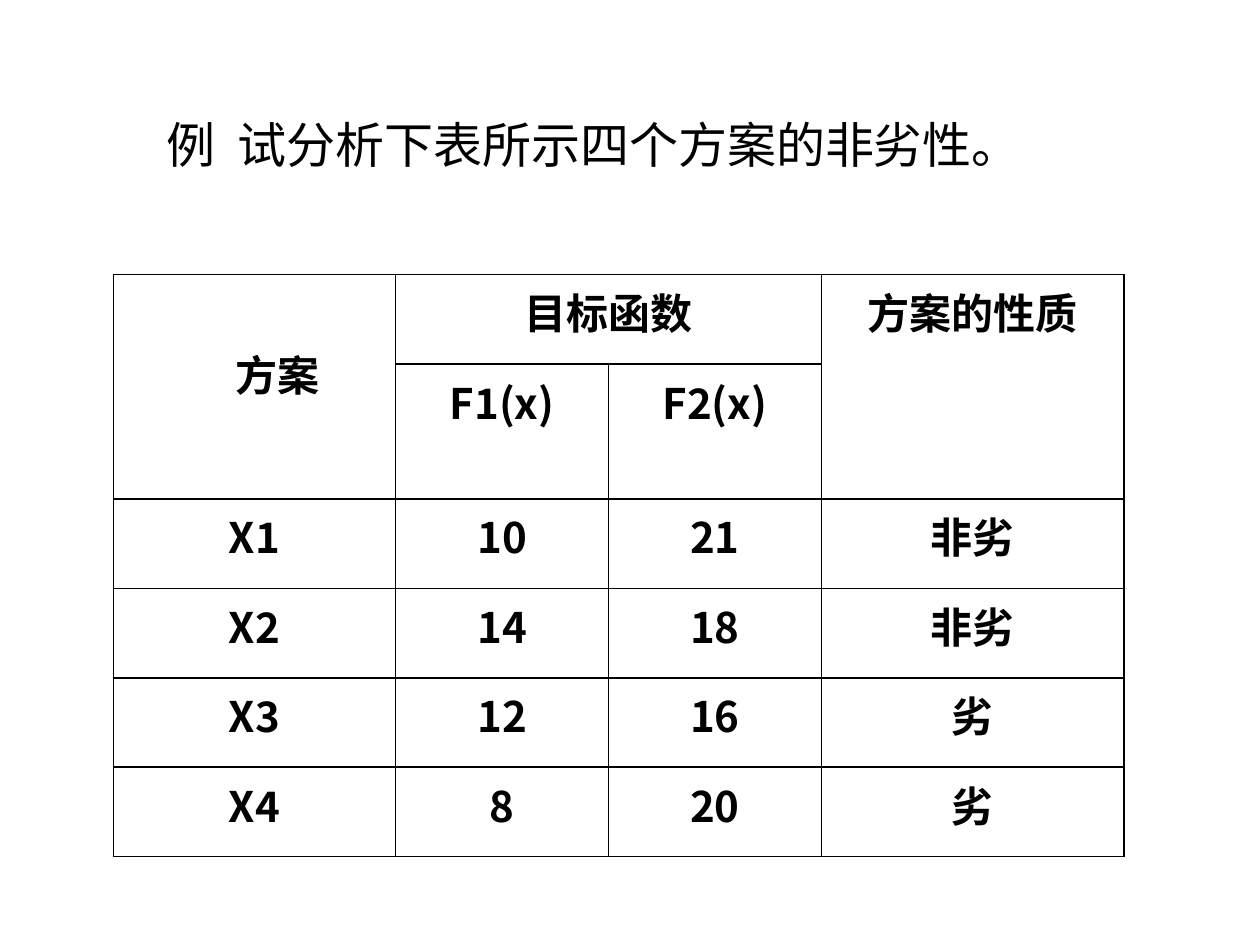
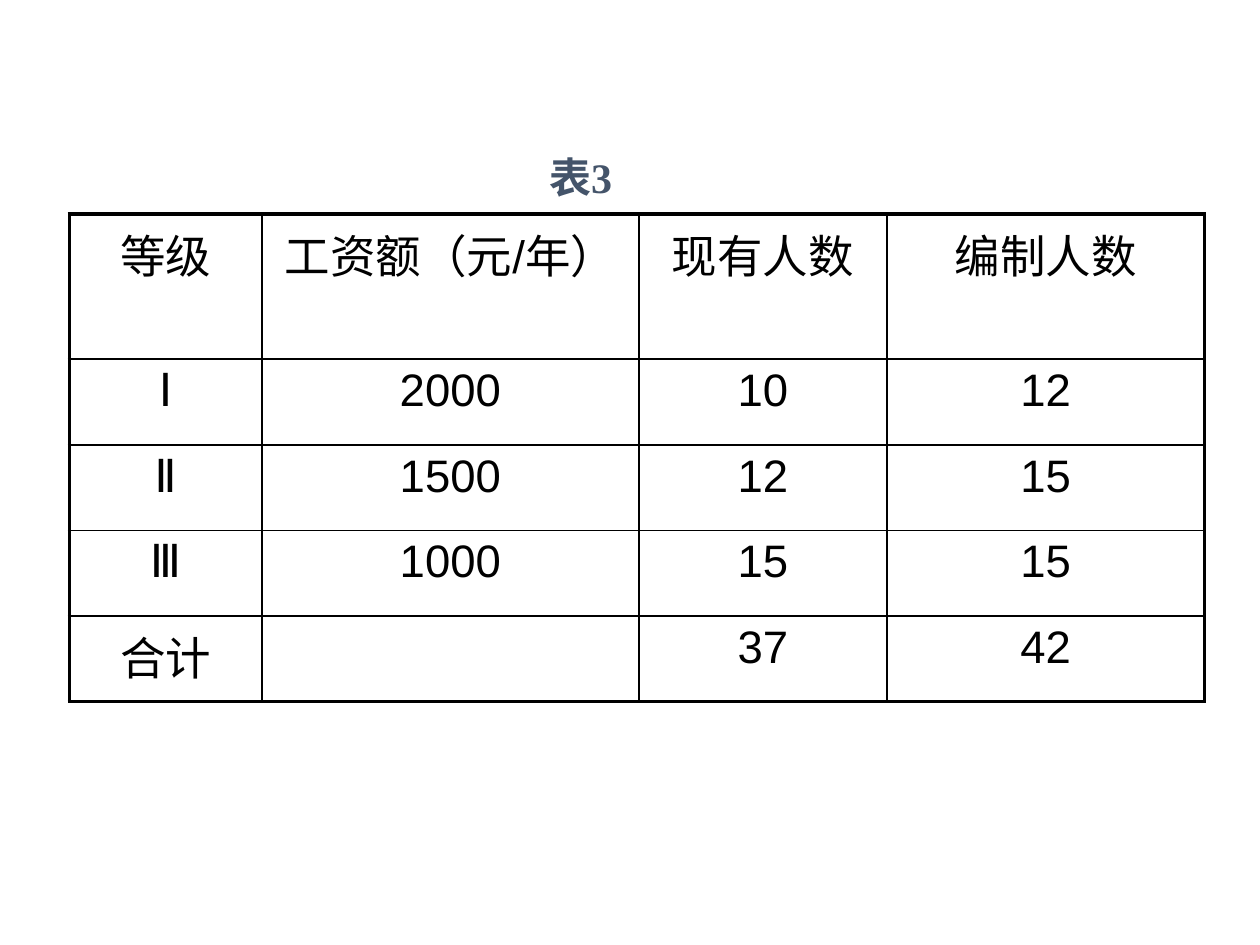
from dataclasses import dataclass

from lxml.etree import SubElement
from pptx import Presentation
from pptx.dml.color import RGBColor
from pptx.enum.text import PP_ALIGN
from pptx.oxml.ns import qn
from pptx.slide import Slide
from pptx.table import _Cell
from pptx.text.text import _Paragraph
from pptx.util import Inches, Pt

BLACK = "000000"
SLATE = "44546A"
CJK_FONT = "Noto Sans CJK SC"
THIN = 1


@dataclass(frozen=True)
class TextStyle:
    """Look of one span of text."""

    size: float
    font: str
    colour: str = BLACK
    bold: bool = False


@dataclass(frozen=True)
class Caption:
    """A line of text above a table."""

    text: str
    left: float
    top: float
    width: float
    height: float
    style: TextStyle
    tab: float = 0
    line_spacing: float = 1.0


@dataclass(frozen=True)
class Grid:
    """A ruled table with optional merged areas."""

    left: float
    top: float
    columns: list[float]
    heights: list[float]
    rows: list[list[str]]
    style: TextStyle
    frame: float = THIN
    merges: tuple[tuple[int, int, int, int], ...] = ()


def rgb(colour: str) -> RGBColor:
    """Turn a hex string into a colour."""
    return RGBColor.from_string(colour)


def add_span(para: _Paragraph, text: str, style: TextStyle) -> None:
    """Add one styled run, with a matching East Asian font."""
    span = para.add_run()
    span.text = text
    span.font.size = Pt(style.size)
    span.font.bold = style.bold
    span.font.color.rgb = rgb(style.colour)
    span.font.name = style.font
    latin = span.font._element.find(qn("a:latin"))
    east_asian = latin.makeelement(qn("a:ea"), {"typeface": CJK_FONT})
    latin.addnext(east_asian)


def add_caption(page: Slide, caption: Caption) -> None:
    """Draw a caption in a text box."""
    box = page.shapes.add_textbox(
        Inches(caption.left), Inches(caption.top), Inches(caption.width), Inches(caption.height)
    )
    box.text_frame.word_wrap = True
    para = box.text_frame.paragraphs[0]
    para.line_spacing = caption.line_spacing
    if caption.tab:
        tabs = SubElement(para._p.get_or_add_pPr(), qn("a:tabLst"))
        SubElement(tabs, qn("a:tab"), pos=str(Inches(caption.tab)), algn="l")
    add_span(para, caption.text, caption.style)


def set_border(cell: _Cell, side: str, width: float) -> None:
    """Rule one side of a cell."""
    line = SubElement(cell._tc.get_or_add_tcPr(), qn(f"a:ln{side}"), w=str(Pt(width)))
    fill = SubElement(line, qn("a:solidFill"))
    SubElement(fill, qn("a:srgbClr"), val=BLACK)


def add_grid(page: Slide, grid: Grid):
    """Draw a ruled table and return it."""
    last_row, last_column = len(grid.heights) - 1, len(grid.columns) - 1
    table = page.shapes.add_table(
        last_row + 1, last_column + 1, Inches(grid.left), Inches(grid.top),
        Inches(sum(grid.columns)), Inches(sum(grid.heights)),
    ).table
    table.first_row = table.horz_banding = False
    for column, width in zip(table.columns, grid.columns):
        column.width = Inches(width)
    for row, height in zip(table.rows, grid.heights):
        row.height = Inches(height)
    for r, texts in enumerate(grid.rows):
        for c, text in enumerate(texts):
            cell = table.cell(r, c)
            on_frame = {"L": c == 0, "R": c == last_column, "T": r == 0, "B": r == last_row}
            for side, outer in on_frame.items():
                set_border(cell, side, grid.frame if outer else THIN)
            cell.fill.background()
            if text:
                para = cell.text_frame.paragraphs[0]
                para.alignment = PP_ALIGN.CENTER
                add_span(para, text, grid.style)
    for top, left, bottom, right in grid.merges:
        table.cell(top, left).merge(table.cell(bottom, right))
    return table


SCHEME_CAPTION = Caption(
    "例\t试分析下表所示四个方案的非劣性。", 1.22, 0.91, 8.27, 0.55,
    TextStyle(28, CJK_FONT), tab=0.57, line_spacing=0.9,
)
SCHEME_GRID = Grid(
    0.9, 2.18, [2.24, 1.69, 1.69, 2.4], [0.71, 1.07] + [0.71] * 4,
    [
        ["方案", "目标函数", "", "方案的性质"],
        ["", "F1(x)", "F2(x)", ""],
        ["X1", "10", "21", "非劣"],
        ["X2", "14", "18", "非劣"],
        ["X3", "12", "16", "劣"],
        ["X4", "8", "20", "劣"],
    ],
    TextStyle(24, CJK_FONT, bold=True),
    merges=((0, 0, 1, 0), (0, 1, 0, 2), (0, 3, 1, 3)),
)
WAGE_CAPTION = Caption(
    "表3", 4.26, 1.15, 1.45, 0.5, TextStyle(24, "Times New Roman", SLATE, True)
)
WAGE_GRID = Grid(
    0.55, 1.7, [1.53, 2.99, 1.97, 2.52], [1.15] + [0.68] * 4,
    [
        ["等级", "工资额（元/年）", "现有人数", "编制人数"],
        ["Ⅰ", "2000", "10", "12"],
        ["Ⅱ", "1500", "12", "15"],
        ["Ⅲ", "1000", "15", "15"],
        ["合计", "", "37", "42"],
    ],
    TextStyle(26, "Arial"),
    frame=2.25,
)


def main() -> None:
    """Build both slides and save the deck."""
    deck = Presentation()
    deck.slide_width, deck.slide_height = Inches(10), Inches(7.5)
    blank = deck.slide_layouts[6]

    scheme_page = deck.slides.add_slide(blank)
    add_caption(scheme_page, SCHEME_CAPTION)
    scheme_head = add_grid(scheme_page, SCHEME_GRID).cell(0, 0)
    scheme_head.margin_top = Inches(0.54)
    scheme_para = scheme_head.text_frame.paragraphs[0]
    scheme_para._p.get_or_add_pPr().set("indent", str(Inches(0.36)))

    wage_page = deck.slides.add_slide(blank)
    add_grid(wage_page, WAGE_GRID)
    add_caption(wage_page, WAGE_CAPTION)

    deck.save("out.pptx")


if __name__ == "__main__":
    main()
